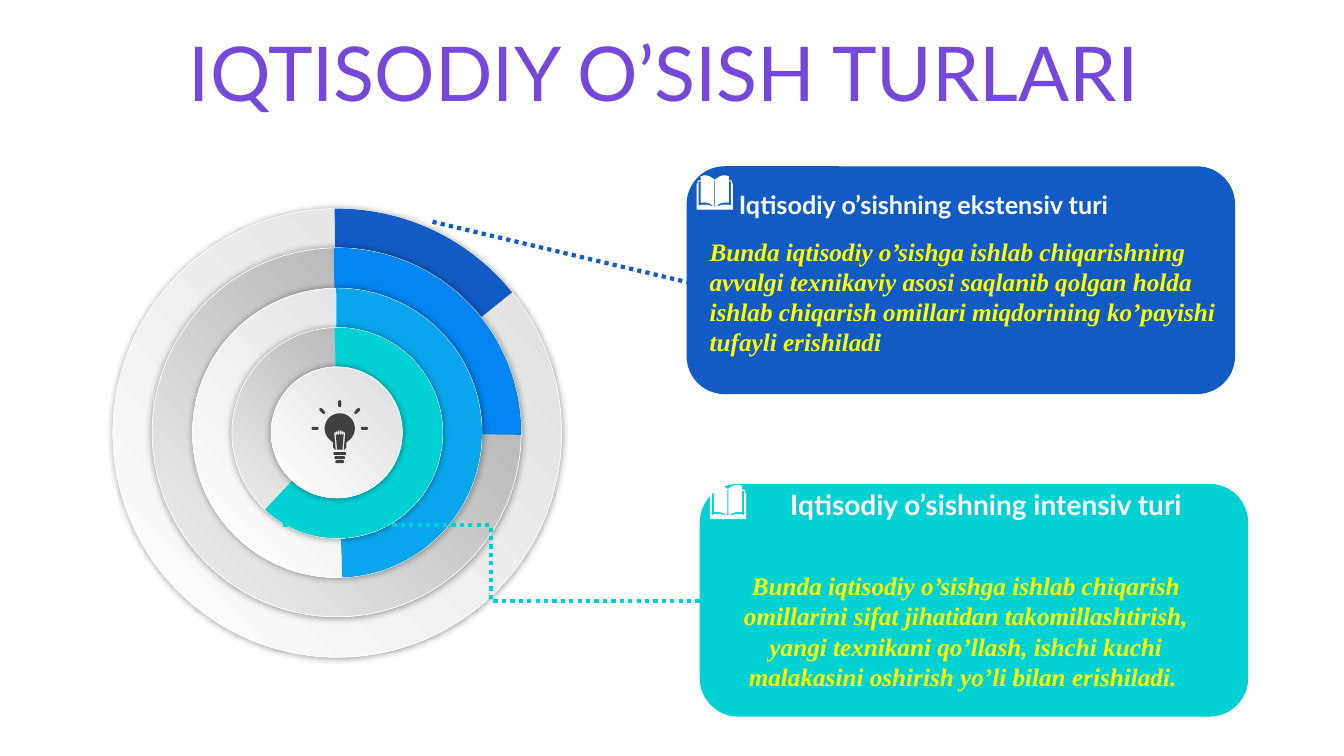
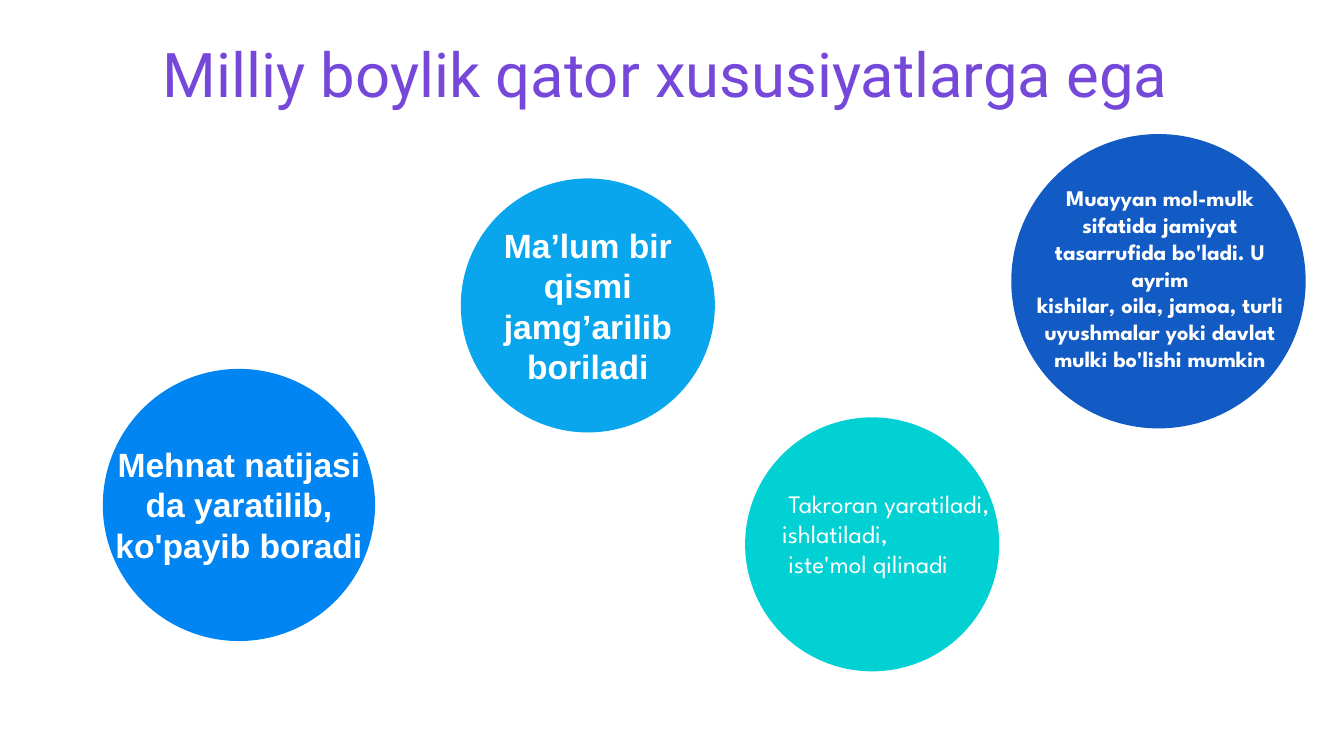
import dataclasses
import math
import typing

import lxml.etree
import pptx
import pptx.dml.color
import pptx.enum.dml
import pptx.enum.shapes
import pptx.enum.text
import pptx.oxml.ns
import pptx.util

EMU_PER_PX = 9144
SHAPE = pptx.enum.shapes.MSO_SHAPE
CONNECTOR = pptx.enum.shapes.MSO_CONNECTOR
ALIGN = pptx.enum.text.PP_ALIGN
ANCHOR = pptx.enum.text.MSO_ANCHOR
Point = tuple[float, float]
Contour = list[Point]


@dataclasses.dataclass(frozen=True)
class Theme:
    navy: str = "125AC4"
    blue: str = "0085F2"
    sky: str = "0AA6ED"
    teal: str = "01D1D3"
    purple: str = "7548DA"
    white: str = "FFFFFF"
    yellow: str = "FFFF00"
    charcoal: str = "404040"
    black: str = "000000"
    pale_ring: tuple[str, str] = ("DEDEDE", "FFFFFF")
    gray_ring: tuple[str, str] = ("A6A6A6", "F2F2F2")
    display: int = 54
    headline: int = 44
    large: int = 24
    heading: int = 20
    body: int = 18
    small: int = 16


THEME = Theme()


class Frame(typing.NamedTuple):
    left: int
    top: int
    width: int
    height: int


@dataclasses.dataclass(frozen=True)
class Style:
    font: str
    size: int
    color: str = THEME.white
    bold: bool = False
    italic: bool = False


@dataclasses.dataclass(frozen=True)
class Label:
    frame: Frame
    lines: tuple[str, ...]
    style: Style
    align: ALIGN = ALIGN.LEFT
    anchor: ANCHOR = ANCHOR.TOP


@dataclasses.dataclass(frozen=True)
class Ring:
    size: int
    gradient: tuple[str, str]
    color: str = ""
    start: float = 0
    end: float = 0


@dataclasses.dataclass(frozen=True)
class Link:
    kind: CONNECTOR
    begin: tuple[int, int]
    end: tuple[int, int]
    color: str


@dataclasses.dataclass(frozen=True)
class Disc:
    left: int
    top: int
    size: int
    color: str


TITLE_FRAME = Frame(35, 37, 1266, 79)
RING_CENTER = (334.5, 429.5)
QUOTE = Style("Times New Roman", THEME.body, THEME.yellow, True, True)
FACT = Style("Arial", THEME.large, bold=True)

RINGS = (
    Ring(445, THEME.pale_ring, THEME.navy, 269.33, 321.19),
    Ring(366, THEME.gray_ring, THEME.blue, 269.1, 0.77),
    Ring(287, THEME.pale_ring, THEME.sky, 269.61, 87.97),
    Ring(209, THEME.gray_ring, THEME.teal, 268.59, 133.32),
    Ring(130, THEME.pale_ring),
)
PANELS = (
    (Frame(681, 165, 544, 226), THEME.navy),
    (Frame(694, 480, 544, 231), THEME.teal),
)
LINKS = (
    Link(CONNECTOR.STRAIGHT, (429, 220), (686, 281), THEME.navy),
    Link(CONNECTOR.ELBOW, (694, 596), (280, 521), THEME.teal),
)
BOOK_ORIGINS = ((691, 174), (704, 481))
GROWTH_LABELS = (
    Label(Frame(723, 183, 509, 64), ("Iqtisodiy o’sishning ekstensiv turi",),
          Style("Lato", THEME.body, bold=True)),
    Label(Frame(694, 229, 532, 131),
          ("Bunda iqtisodiy o’sishga ishlab chiqarishning avvalgi texnikaviy asosi "
           "saqlanib qolgan holda ishlab chiqarish omillari miqdorining ko’payishi "
           "tufayli erishiladi",), QUOTE),
    Label(Frame(753, 479, 450, 77), ("Iqtisodiy o’sishning intensiv turi",),
          Style("Lato", THEME.heading, bold=True), ALIGN.CENTER),
    Label(Frame(709, 561, 498, 162),
          ("Bunda iqtisodiy o’sishga ishlab chiqarish omillarini sifat jihatidan "
           "takomillashtirish, yangi texnikani qo’llash, ishchi kuchi malakasini "
           "oshirish yo’li bilan erishiladi. ",), QUOTE, ALIGN.CENTER),
)
DISCS = (
    Disc(457, 177, 252, THEME.sky),
    Disc(102, 366, 270, THEME.blue),
    Disc(739, 414, 252, THEME.teal),
    Disc(1003, 133, 292, THEME.navy),
)
WEALTH_LABELS = (
    Label(Frame(457, 217, 252, 172), ("Ma’lum bir qismi jamg’arilib boriladi",),
          FACT, ALIGN.CENTER, ANCHOR.MIDDLE),
    Label(Frame(102, 435, 270, 131), ("Mehnat natijasi da yaratilib, ko'payib boradi",),
          FACT, ALIGN.CENTER, ANCHOR.MIDDLE),
    Label(Frame(1015, 163, 271, 226),
          ("Muayyan mol-mulk sifatida jamiyat tasarrufida bo'ladi. U ayrim",
           "kishilar, oila, jamoa, turli uyushmalar yoki davlat mulki bo'lishi mumkin"),
          Style("League Spartan", THEME.small, bold=True), ALIGN.CENTER, ANCHOR.MIDDLE),
    Label(Frame(766, 479, 271, 101),
          (" Takroran yaratiladi,", "ishlatiladi,", " iste'mol qilinadi"),
          Style("League Spartan", THEME.body)),
)


def emu(px: float) -> pptx.util.Emu:
    return pptx.util.Emu(round(px * EMU_PER_PX))


def rgb(color: str) -> pptx.dml.color.RGBColor:
    return pptx.dml.color.RGBColor.from_string(color)


def paint(shape: typing.Any, color: str) -> None:
    shape.shadow.inherit = False
    shape.fill.solid()
    shape.fill.fore_color.rgb = rgb(color)
    shape.line.fill.background()


def add_filled(page: typing.Any, kind: SHAPE, frame: Frame, color: str) -> typing.Any:
    shape = page.shapes.add_shape(kind, *map(emu, frame))
    paint(shape, color)
    return shape


def add_label(page: typing.Any, label: Label) -> typing.Any:
    box = page.shapes.add_textbox(*map(emu, label.frame))
    frame = box.text_frame
    frame.word_wrap = True
    frame.vertical_anchor = label.anchor
    for index, line in enumerate(label.lines):
        para = frame.add_paragraph() if index else frame.paragraphs[0]
        para.alignment = label.align
        span = para.add_run()
        span.text = line
        span.font.name = label.style.font
        span.font.size = pptx.util.Pt(label.style.size)
        span.font.bold = label.style.bold
        span.font.italic = label.style.italic
        span.font.color.rgb = rgb(label.style.color)
    return box


def add_title(page: typing.Any, text: str, font: str, size: int) -> None:
    style = Style(font, size, THEME.purple)
    box = add_label(page, Label(TITLE_FRAME, (text,), style, ALIGN.CENTER, ANCHOR.MIDDLE))
    para = box.text_frame.paragraphs[0]
    para.line_spacing = 0.9
    para.space_before = pptx.util.Pt(10)


def add_glow(shape: typing.Any) -> None:
    qn = pptx.oxml.ns.qn
    shape.shadow.inherit = False
    effects = shape._element.spPr.find(qn("a:effectLst"))
    shadow = lxml.etree.SubElement(effects, qn("a:outerShdw"), blurRad=str(pptx.util.Pt(5)),
                                   dist="0", dir="0", algn="ctr", rotWithShape="0")
    color = lxml.etree.SubElement(shadow, qn("a:srgbClr"), val=THEME.black)
    lxml.etree.SubElement(color, qn("a:alpha"), val="40000")


def add_ring(page: typing.Any, ring: Ring) -> None:
    left, top = (int(middle - ring.size / 2) for middle in RING_CENTER)
    frame = Frame(left, top, ring.size, ring.size)
    disc = add_filled(page, SHAPE.OVAL, frame, THEME.white)
    disc.fill.gradient()
    disc.fill.gradient_angle = 225
    for stop, color in zip(disc.fill.gradient_stops, ring.gradient):
        stop.color.rgb = rgb(color)
    disc.line.color.rgb = rgb(THEME.white)
    disc.line.width = pptx.util.Pt(0.5)
    add_glow(disc)
    if ring.color:
        sector = add_filled(page, SHAPE.PIE, frame, ring.color)
        for index, degrees in enumerate((ring.start, ring.end)):
            sector.adjustments[index] = degrees * 0.6


def add_link(page: typing.Any, link: Link) -> None:
    connector = page.shapes.add_connector(link.kind, *map(emu, link.begin + link.end))
    connector.line.color.rgb = rgb(link.color)
    connector.line.width = pptx.util.Pt(3)
    connector.line.dash_style = pptx.enum.dml.MSO_LINE.ROUND_DOT
    lxml.etree.SubElement(connector._element.spPr, pptx.oxml.ns.qn("a:effectLst"))


def add_outline(page: typing.Any, contours: list[Contour], origin: Point, color: str) -> None:
    placed = [[(emu(origin[0] + x), emu(origin[1] + y)) for x, y in contour]
              for contour in contours]
    builder = page.shapes.build_freeform(*placed[0][0], scale=1.0)
    for index, contour in enumerate(placed):
        if index:
            builder.move_to(*contour[0])
        builder.add_line_segments(contour[1:], close=True)
    paint(builder.convert_to_shape(), color)


def arc(center: Point, radius: float, start: int, end: int) -> Contour:
    angles = (math.radians(start + (end - start) * step / 24) for step in range(25))
    return [(center[0] + radius * math.cos(angle), center[1] + radius * math.sin(angle))
            for angle in angles]


def capsule(begin: Point, end: Point, radius: float) -> Contour:
    heading = round(math.degrees(math.atan2(end[1] - begin[1], end[0] - begin[0])))
    return (arc(end, radius, heading - 90, heading + 90)
            + arc(begin, radius, heading + 90, heading + 270))


def mirrored(contour: Contour) -> Contour:
    return [(-x, y) for x, y in reversed(contour)]


def book() -> list[Contour]:
    cover = [(0.5, 4), (4, 1.4), (8, 0), (11, 0), (14, 1), (14, 5), (17, 5),
             (17, 8), (18, 8), (18, 34)]
    slit = [(14, 6), (16, 6), (16, 30), (13, 29), (8, 29), (1, 31), (5, 28), (9, 27), (14, 27)]
    spine = [(-0.4, 5), (0.4, 5), (0.4, 31), (-0.4, 31)]
    return [cover + mirrored(cover), slit, mirrored(slit), spine]


def bulb() -> list[Contour]:
    glass = arc((0, 0), 15, 135, 405) + [(6.5, 14), (6.5, 19), (5, 21)]
    glass += [(-5, 21), (-6.5, 19), (-6.5, 14)]
    half_filament = [(0, 5), (0.5, 2), (1.5, 2), (2, 4), (3, 2), (4, 4), (5.5, 4), (4, 21),
                     (2.7, 21), (4, 5), (3, 7), (2, 5), (1, 7)]
    rays = [capsule(*(arc((0, 0), reach, angle, angle)[0] for reach in (22.5, 26.5)), 1.5)
            for angle in range(-180, 1, 45)]
    bars = [capsule((row - 5, 25 + 4 * row), (5 - row, 25 + 4 * row), 1.4) for row in range(3)]
    return [glass, half_filament, mirrored(half_filament), *rays, *bars]


def draw_growth(page: typing.Any) -> None:
    add_title(page, "IQTISODIY O’SISH TURLARI ", "Lato", THEME.display)
    for frame, color in PANELS:
        add_filled(page, SHAPE.ROUNDED_RECTANGLE, frame, color)
    for ring in RINGS:
        add_ring(page, ring)
    for link in LINKS:
        add_link(page, link)
    for left, top in BOOK_ORIGINS:
        add_outline(page, book(), (left + 18, top), THEME.white)
    add_outline(page, bulb(), (337, 425), THEME.charcoal)
    for label in GROWTH_LABELS:
        add_label(page, label)


def draw_wealth(page: typing.Any) -> None:
    add_title(page, "Milliy boylik qator xususiyatlarga ega ", "Roboto", THEME.headline)
    for disc in DISCS:
        frame = Frame(disc.left, disc.top, disc.size, disc.size)
        add_filled(page, SHAPE.OVAL, frame, disc.color)
    for label in WEALTH_LABELS:
        add_label(page, label)


def main() -> None:
    deck = pptx.Presentation()
    deck.slide_width, deck.slide_height = emu(1333), emu(750)
    for draw in (draw_growth, draw_wealth):
        draw(deck.slides.add_slide(deck.slide_layouts[6]))
    deck.save("out.pptx")


if __name__ == "__main__":
    main()
